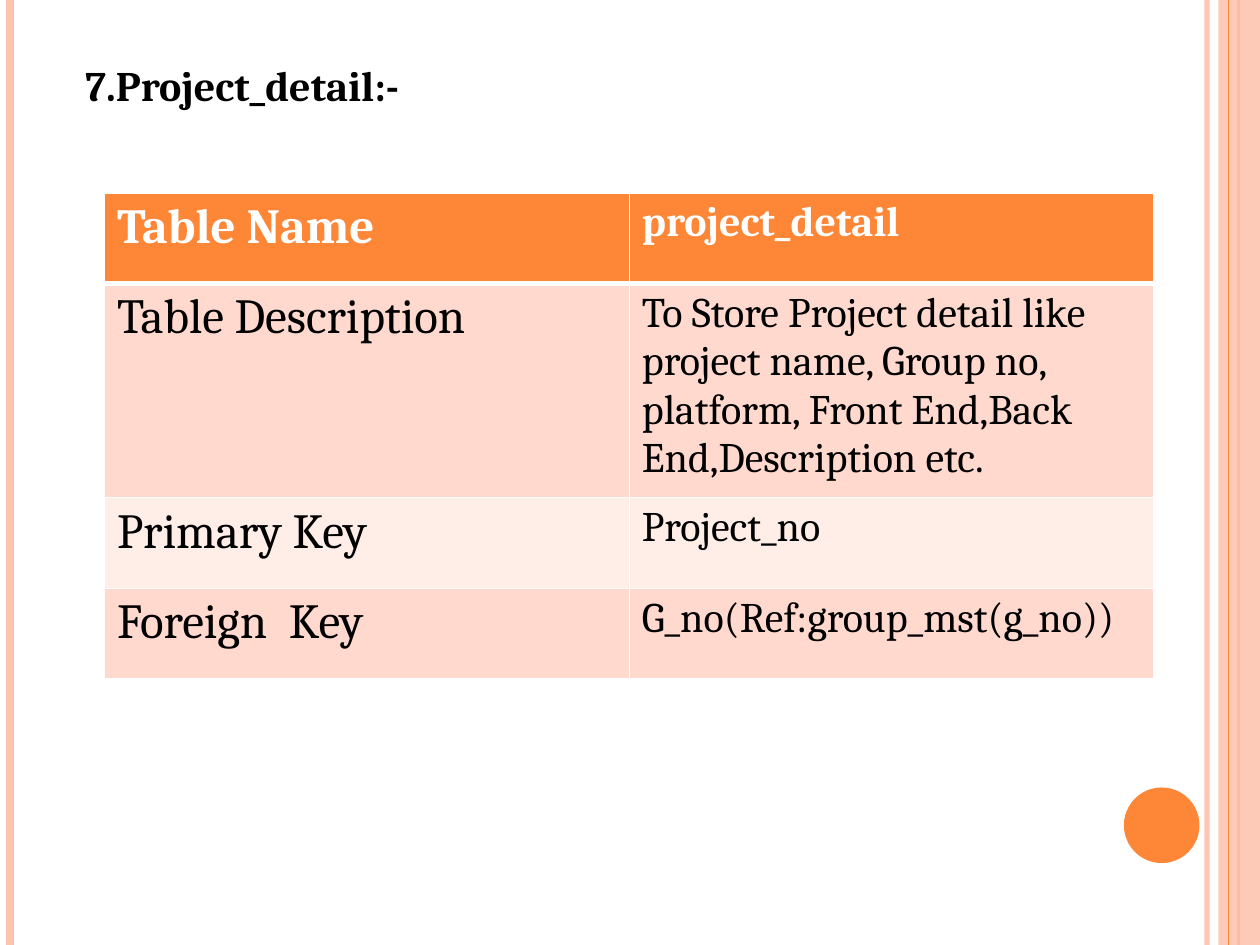
from lxml import etree
from pptx import Presentation
from pptx.dml.color import RGBColor
from pptx.enum.shapes import MSO_CONNECTOR as Connector, MSO_SHAPE as Shape
from pptx.oxml.ns import qn
from pptx.util import Inches, Pt

WIDTH, HEIGHT = 10, 7.5
ORANGE, PEACH = "FE8637", "FEC3AE"
BAND_DARK, BAND_LIGHT = "FFD9CE", "FFEDE8"
WHITE, BLACK = "FFFFFF", "000000"

RULES = [(9.58, PEACH, 3, 93), (0.08, PEACH, 4.5, 100), (9.83, ORANGE, 1.5, 100)]
ROWS = [
    ("Table Name", "project_detail"),
    ("Table Description", "To Store Project detail like project name, Group no, "
                          "platform, Front End,Back End,Description etc."),
    ("Primary Key", "Project_no"),
    ("Foreign  Key", "G_no(Ref:group_mst(g_no))"),
]


def paint(color_format, color):
    color_format.rgb = RGBColor.from_string(color)


def fill_solid(fill, color, opacity=100):
    fill.solid()
    paint(fill.fore_color, color)
    set_opacity(fill.fore_color, fill._xPr, opacity)


def set_opacity(color_format, parent, opacity):
    """Add an alpha value, in percent, to the solid colour below parent."""
    if opacity < 100:
        color = parent.find(".//" + qn("a:srgbClr"))
        etree.SubElement(color, qn("a:alpha"), val=str(opacity * 1000))


def write_text(frame, text, size, color=BLACK, bold=False, font="Cambria"):
    frame.word_wrap = True
    run = frame.paragraphs[0].add_run()
    run.text = text
    run.font.name, run.font.size, run.font.bold = font, Pt(size), bold
    paint(run.font.color, color)


def set_borders(cell, bottom):
    """Draw white cell borders, 1 pt except for the given bottom and top widths."""
    properties = cell._tc.get_or_add_tcPr()
    widths = {"lnL": 1, "lnR": 1, "lnT": 1, "lnB": bottom}
    for position, (tag, width) in enumerate(widths.items()):
        line = etree.Element(qn("a:" + tag), w=str(Pt(width)))
        solid = etree.SubElement(line, qn("a:solidFill"))
        etree.SubElement(solid, qn("a:srgbClr"), val=WHITE)
        properties.insert(position, line)


class SlideBuilder:
    def __init__(self, slide):
        self.slide = slide

    def vertical_rule(self, x, color, width, opacity=100):
        rule = self.slide.shapes.add_connector(
            Connector.STRAIGHT, Inches(x), 0, Inches(x), Inches(HEIGHT))
        rule.line.width = Pt(width)
        paint(rule.line.color, color)
        properties = rule._element.spPr
        set_opacity(rule.line.color, properties, opacity)
        etree.SubElement(properties, qn("a:effectLst"))

    def shape(self, kind, left, top, width, height, color, opacity=100):
        shape = self.slide.shapes.add_shape(
            kind, Inches(left), Inches(top), Inches(width), Inches(height))
        shape.shadow.inherit = False
        fill_solid(shape.fill, color, opacity)
        shape.line.fill.background()

    def text(self, left, top, width, height, text, **style):
        box = self.slide.shapes.add_textbox(
            Inches(left), Inches(top), Inches(width), Inches(height))
        write_text(box.text_frame, text, **style)

    def table(self, left, top, width, row_height, rows):
        table = self.slide.shapes.add_table(
            len(rows), len(rows[0]), Inches(left), Inches(top),
            Inches(width), Inches(row_height * len(rows))).table
        for r, row in enumerate(rows):
            table.rows[r].height = Inches(row_height)
            header = r == 0
            fill = ORANGE if header else BAND_DARK if r % 2 else BAND_LIGHT
            for c, text in enumerate(row):
                cell = table.cell(r, c)
                fill_solid(cell.fill, fill)
                set_borders(cell, bottom=3 if header else 1)
                write_text(cell.text_frame, text, size=24 if c else 28,
                           color=WHITE if header else BLACK, bold=header)


def main():
    presentation = Presentation()
    presentation.slide_width, presentation.slide_height = Inches(WIDTH), Inches(HEIGHT)
    slide = presentation.slides.add_slide(presentation.slide_layouts[6])
    fill_solid(slide.background.fill, WHITE)

    builder = SlideBuilder(slide)
    for rule in RULES:
        builder.vertical_rule(*rule)
    builder.shape(Shape.RECTANGLE, 9.67, 0, 0.33, HEIGHT, PEACH, opacity=87)
    builder.vertical_rule(9.75, ORANGE, 0.75)
    builder.shape(Shape.OVAL, 8.92, 6.25, 0.6, 0.6, ORANGE)
    builder.text(0.58, 0.42, 8.75, 5.58, "7.Project_detail:-", size=24, bold=True)
    builder.table(0.83, 1.53, 8.33, 0.72, ROWS)
    presentation.save("out.pptx")


if __name__ == "__main__":
    main()
